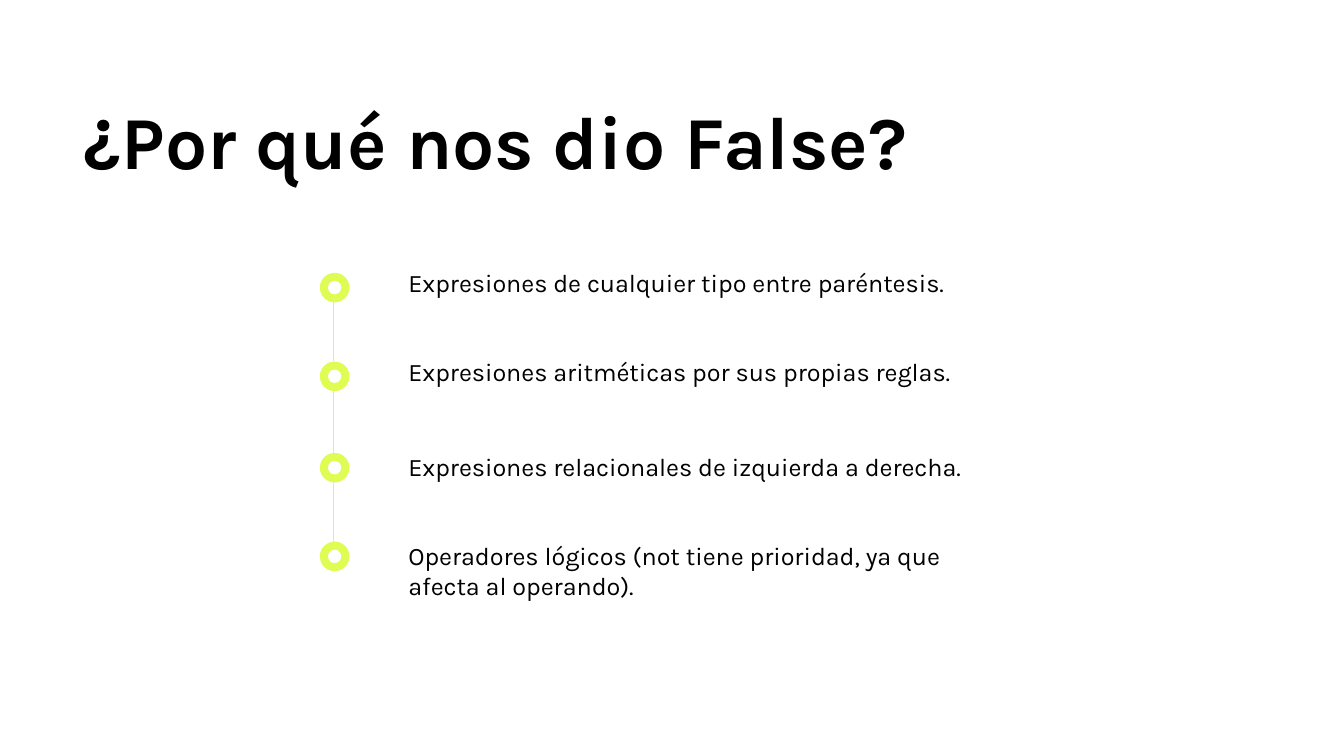
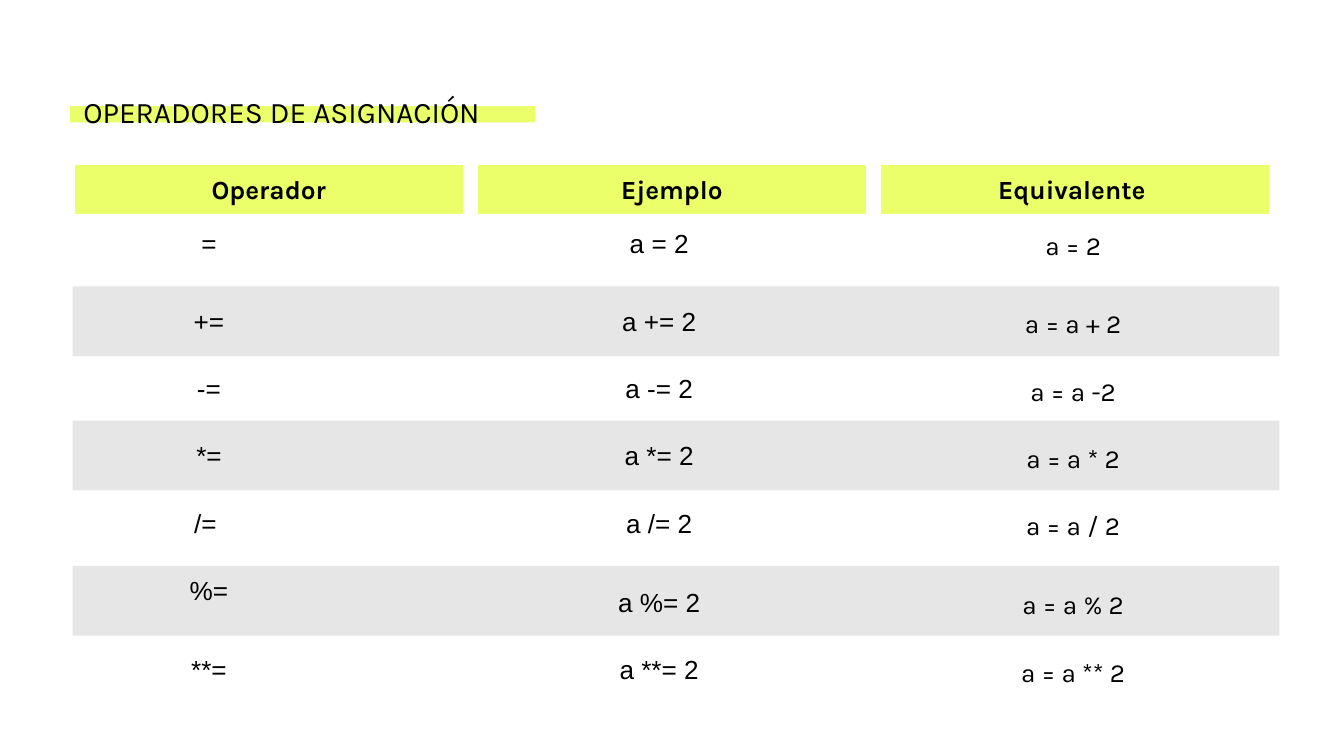
from lxml import etree
from pptx import Presentation
from pptx.dml.color import RGBColor
from pptx.enum import shapes, text
from pptx.oxml.ns import qn
from pptx.util import Inches, Pt

COLORS = {"ink": "000000", "paper": "FFFFFF", "dot": "DEFC52", "lime": "EAFF6A", "stripe": "E7E6E6"}
KARLA, ARIAL = "Karla", "Arial"

REASONS_TITLE = "¿Por qué nos dio False?"
REASONS = [
    ("Expresiones de cualquier tipo entre paréntesis.", 2.03, 1.89, 0.43),
    ("Expresiones aritméticas por sus propias reglas.", 2.69, 2.55, 0.43),
    ("Expresiones relacionales de izquierda a derecha.", 3.37, 3.26, 0.43),
    ("Operadores lógicos (not tiene prioridad, ya que afecta al operando).", 4.03, 3.92, 1.11),
]
DOT_LEFT, DOT_SIZE, HOLE_SIZE = 2.38, 0.22, 0.1

OPERATORS_TITLE = "OPERADORES DE ASIGNACIÓN"
HEADERS = ["Operador", "Ejemplo", "Equivalente "]
COLUMNS = [(0.5, ARIAL, 1), (3.85, ARIAL, 1), (6.93, KARLA, 1.15)]
OPERATORS = [
    (1.58, ["=", "a = 2", "a = 2"]),
    (2.16, ["+=", "a += 2", "a = a + 2"]),
    (2.66, ["-=", "a -= 2", "a = a -2"]),
    (3.16, ["*=", "a *= 2", "a = a * 2"]),
    (3.66, ["/= ", "a /= 2", "a = a / 2"]),
    (4.25, ["%=", "a %= 2", "a = a % 2"]),
    (4.75, ["**=", "a **= 2", "a = a ** 2"]),
]
RAISED_CELLS = {"%=": 0.09}
STRIPE_TOPS = [2.13, 3.13, 4.21]

deck = Presentation()
deck.slide_width, deck.slide_height = Inches(10), Inches(5.625)


def color(name):
    return RGBColor.from_string(COLORS[name])


def write(shape, words, size, font=KARLA, bold=False, align=text.PP_ALIGN.LEFT,
          anchor=text.MSO_ANCHOR.TOP, spacing=1):
    frame = shape.text_frame
    frame.word_wrap = True
    frame.auto_size = text.MSO_AUTO_SIZE.NONE
    frame.vertical_anchor = anchor
    frame.margin_left = frame.margin_right = frame.margin_top = frame.margin_bottom = Inches(0.1)
    frame.text = words
    paragraph = frame.paragraphs[0]
    paragraph.alignment = align
    paragraph.line_spacing = spacing
    paragraph.font.name, paragraph.font.size, paragraph.font.bold = font, Pt(size), bold
    paragraph.font.color.rgb = color("ink")


def add_text(slide, box, words, size, **style):
    write(slide.shapes.add_textbox(*map(Inches, box)), words, size, **style)


def add_block(parent, kind, box, fill, outline=None):
    block = parent.shapes.add_shape(kind, *map(Inches, box))
    block.shadow.inherit = False
    block.fill.solid()
    block.fill.fore_color.rgb = color(fill)
    if outline:
        block.line.color.rgb = color(outline)
        block.line.width = Pt(2.25)
    else:
        block.line.fill.background()
    return block


def add_titled_slide(title, box, size, **style):
    slide = deck.slides.add_slide(deck.slide_layouts[5])
    slide.background.fill.solid()
    slide.background.fill.fore_color.rgb = color("paper")
    heading = slide.shapes.title
    heading.left, heading.top, heading.width, heading.height = map(Inches, box)
    write(heading, title, size, **style)
    return slide


def add_dot(slide, top):
    dot = slide.shapes.add_group_shape()
    inset = (DOT_SIZE - HOLE_SIZE) / 2
    for shift, size, fill in [(0, DOT_SIZE, "dot"), (inset, HOLE_SIZE, "paper")]:
        add_block(dot, shapes.MSO_SHAPE.OVAL, (DOT_LEFT + shift, top + shift, size, size), fill)


def add_link(slide, start, end):
    x = Inches(DOT_LEFT + DOT_SIZE / 2 - 0.01)
    link = slide.shapes.add_connector(shapes.MSO_CONNECTOR.STRAIGHT, x, Inches(start), x, Inches(end))
    link.line.color.rgb = color("dot")
    link.line.width = Pt(0.75)
    etree.SubElement(link._element.spPr, qn("a:effectLst"))


reasons = add_titled_slide(REASONS_TITLE, (0.52, 0.68, 8.9, 0.81), 40, bold=True, spacing=0.9)
for words, dot_top, text_top, height in REASONS:
    add_dot(reasons, dot_top)
    add_text(reasons, (2.94, text_top, 4.68, height), words, 13.5)
for upper, lower in zip(REASONS, REASONS[1:]):
    add_link(reasons, upper[1] + DOT_SIZE, lower[1])

operators = add_titled_slide(OPERATORS_TITLE, (0.52, 0.6, 4.74, 0.47), 16)
highlight = add_block(operators, shapes.MSO_SHAPE.RECTANGLE, (0.52, 0.79, 3.46, 0.12), "lime")
operators.shapes.title._element.addprevious(highlight._element)
for top in STRIPE_TOPS:
    add_block(operators, shapes.MSO_SHAPE.RECTANGLE, (0.54, top, 8.98, 0.52), "stripe")
centered = {"align": text.PP_ALIGN.CENTER, "anchor": text.MSO_ANCHOR.MIDDLE}
for column, words in enumerate(HEADERS):
    header = add_block(operators, shapes.MSO_SHAPE.RECTANGLE,
                       (0.54 + 3 * column, 1.21, 2.92, 0.4), "lime", "paper")
    write(header, words, 14, bold=True, **centered)
for top, cells in OPERATORS:
    for (left, font, spacing), words in zip(COLUMNS, cells):
        add_text(operators, (left, top - RAISED_CELLS.get(words, 0), 2.11, 0.46), words, 14,
                 font=font, spacing=spacing, **centered)

deck.save("out.pptx")
